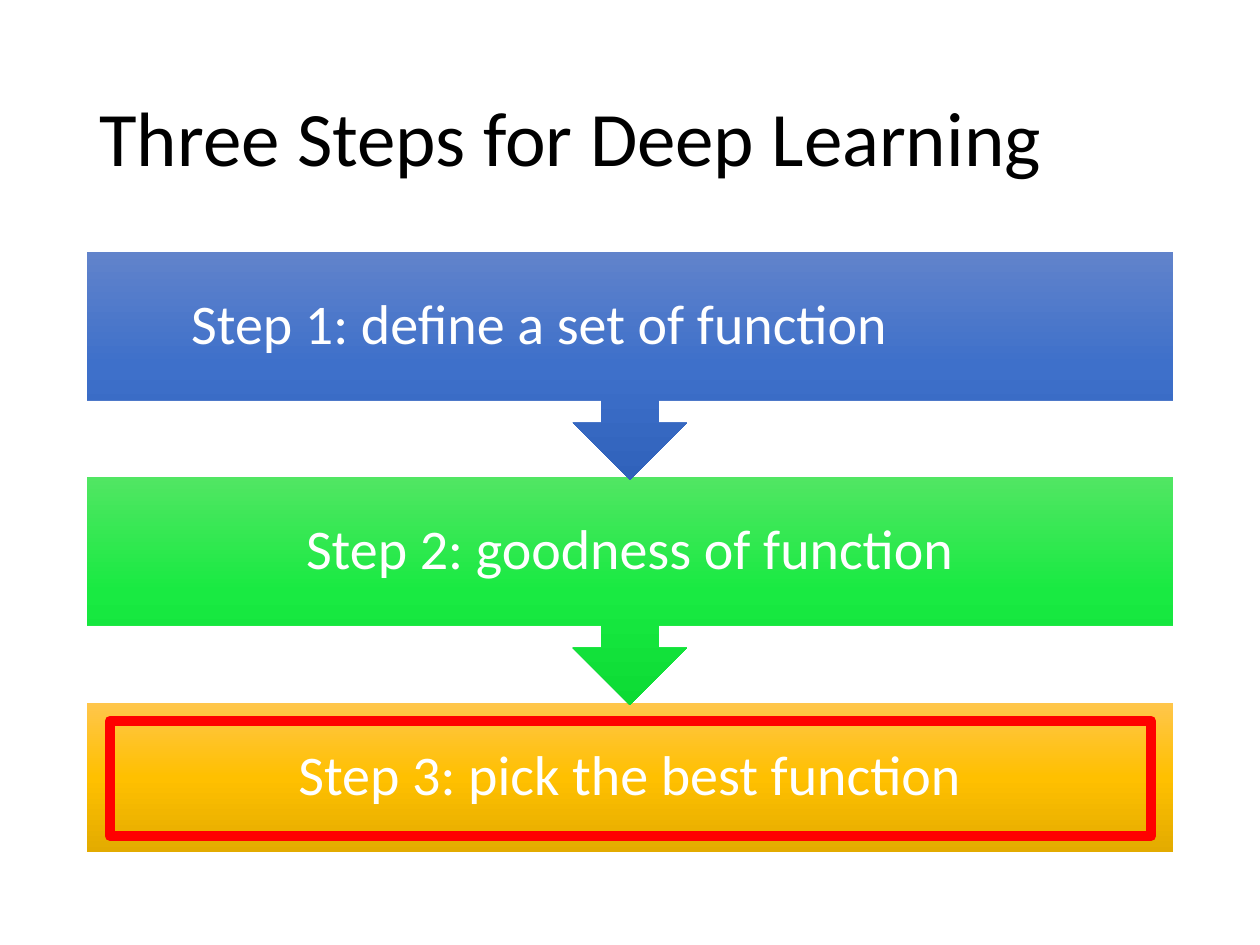
from copy import deepcopy
from pptx import Presentation
from pptx.dml.color import RGBColor
from pptx.enum.shapes import MSO_SHAPE as SHAPE
from pptx.enum.text import MSO_ANCHOR as ANCHOR, PP_ALIGN as ALIGN
from pptx.util import Pt

PX = 914400 // 126
BLACK = RGBColor(0x00, 0x00, 0x00)
WHITE = RGBColor(0xFF, 0xFF, 0xFF)
RED = RGBColor(0xFF, 0x00, 0x00)
BLUES = [RGBColor(0x61, 0x83, 0xCB), RGBColor(0x3E, 0x70, 0xCA), RGBColor(0x30, 0x62, 0xBB)]
GREENS = [RGBColor(0x51, 0xE6, 0x63), RGBColor(0x19, 0xEA, 0x42), RGBColor(0x0C, 0xDB, 0x34)]
GOLDS = [RGBColor(0xFF, 0xC6, 0x4B), RGBColor(0xFF, 0xC0, 0x00), RGBColor(0xE3, 0xAB, 0x00)]

LEFT, WIDTH = 87, 1086
TOP, PITCH = 252, 225.5
BOX_H, CALLOUT_H = 149, 228
INSET = 31


def write(tf, text, size, color, align):
    tf.word_wrap = True
    tf.vertical_anchor = ANCHOR.MIDDLE
    tf.text = text
    p = tf.paragraphs[0]
    p.alignment = align
    p.line_spacing = 0.9
    p.font.name = "Calibri"
    p.font.size = Pt(size)
    p.font.color.rgb = color


def fill_down(fill, colors):
    """Fill with a three-stop gradient that runs from top to bottom."""
    fill.gradient()
    fill.gradient_angle = 270
    first = fill.gradient_stops[0]._gs
    first.addnext(deepcopy(first))
    for stop, position, color in zip(fill.gradient_stops, (0, 0.5, 1), colors):
        stop.position = position
        stop.color.rgb = color


prs = Presentation()
prs.slide_width = 1260 * PX
prs.slide_height = 945 * PX
s = prs.slides.add_slide(prs.slide_layouts[6])

title = s.shapes.add_textbox(LEFT * PX, 50 * PX, WIDTH * PX, 183 * PX)
write(title.text_frame, "Three Steps for Deep Learning", 44, BLACK, ALIGN.LEFT)

# The extra right inset moves the first label left of centre.
steps = [
    ("Step 1: define a set of function", BLUES, SHAPE.DOWN_ARROW_CALLOUT, CALLOUT_H, 181),
    ("Step 2: goodness of function", GREENS, SHAPE.DOWN_ARROW_CALLOUT, CALLOUT_H, 0),
    ("Step 3: pick the best function", GOLDS, SHAPE.RECTANGLE, BOX_H, 0),
]
# Drawn from the last step up, so each arrow tip lies over the next box.
for i, (text, colors, kind, height, extra) in reversed(list(enumerate(steps))):
    top = int(TOP + PITCH * i)
    sp = s.shapes.add_shape(kind, LEFT * PX, top * PX, WIDTH * PX, height * PX)
    sp.shadow.inherit = False
    sp.line.fill.background()
    fill_down(sp.fill, colors)
    tf = sp.text_frame
    tf.margin_left = tf.margin_top = tf.margin_bottom = INSET * PX
    tf.margin_right = (INSET + extra) * PX
    write(tf, text, 32, WHITE, ALIGN.CENTER)

frame = s.shapes.add_shape(SHAPE.RECTANGLE, 110 * PX, 721 * PX, 1041 * PX, 115 * PX)
frame.shadow.inherit = False
frame.fill.background()
frame.line.color.rgb = RED
frame.line.width = Pt(6)

prs.save("out.pptx")
